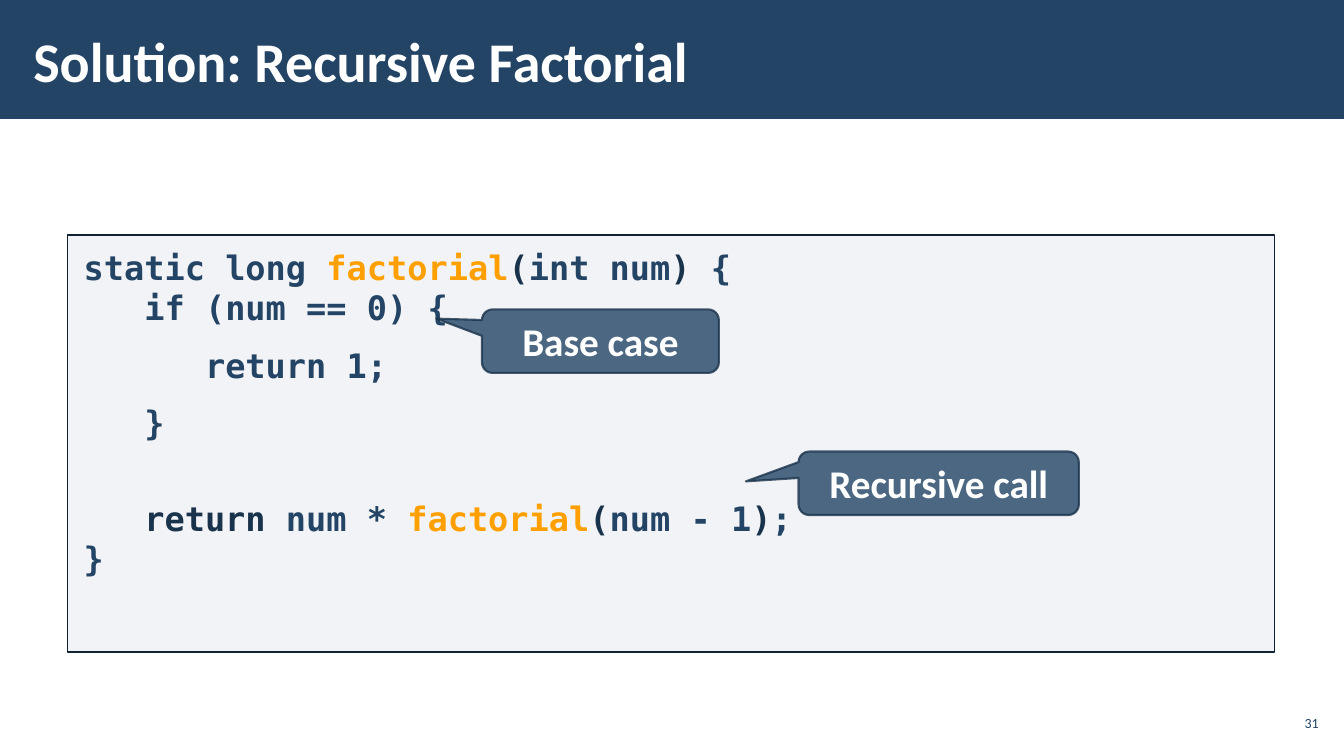
from dataclasses import dataclass

from lxml import etree
from pptx import Presentation
from pptx.dml.color import RGBColor
from pptx.enum.shapes import MSO_SHAPE
from pptx.enum.text import MSO_ANCHOR, MSO_AUTO_SIZE, PP_ALIGN
from pptx.oxml.ns import qn
from pptx.util import Pt

PX = 9144  # EMU in one px, 100 px to the inch
RECT = MSO_SHAPE.RECTANGLE
BUBBLE = MSO_SHAPE.ROUNDED_RECTANGULAR_CALLOUT
TOP, MIDDLE = MSO_ANCHOR.TOP, MSO_ANCHOR.MIDDLE
NO_FIT = MSO_AUTO_SIZE.NONE
LEFT, CENTER, RIGHT = PP_ALIGN.LEFT, PP_ALIGN.CENTER, PP_ALIGN.RIGHT

NAVY = RGBColor(0x23, 0x44, 0x65)
DARK = RGBColor(0x1A, 0x33, 0x4C)
EDGE = RGBColor(0x11, 0x22, 0x33)
GREY = RGBColor(0xAD, 0xB4, 0xC3)
AMBER = RGBColor(0xFF, 0xA0, 0x00)
WHITE = RGBColor(0xFF, 0xFF, 0xFF)
SANS, MONO = "Calibri", "DejaVu Sans Mono"


@dataclass
class Box:
    x: int
    y: int
    w: int
    h: int

    def emu(self) -> list[int]:
        return [n * PX for n in (self.x, self.y, self.w, self.h)]


@dataclass
class Callout:
    text: str
    box: Box
    tip: tuple[float, float]


@dataclass
class Block:
    before: int  # points
    runs: list[tuple[str, RGBColor]]


CODE = [
    Block(0, [("static long ", NAVY), ("factorial", AMBER), ("(", DARK),
              ("int num", NAVY), (")", DARK),
              (" {\n   if (num == 0) {", NAVY)]),
    Block(6, [("      return 1;", NAVY)]),
    Block(6, [("   }", NAVY)]),
    Block(34, [("   ", NAVY), ("return", DARK), (" num * ", NAVY),
               ("factorial", AMBER), ("(", DARK), ("num - 1", NAVY),
               (")", DARK), (";\n}", NAVY)]),
]
CALLS = [
    Callout("Base case", Box(478, 307, 235, 63), (-0.692, -0.355)),
    Callout("Recursive call", Box(792, 448, 278, 63), (-0.688, -0.03)),
]


def fade(fill, share: int) -> None:
    """Set the opacity of a solid fill, in percent."""
    color = fill._xPr.find(qn("a:solidFill"))[0]
    etree.SubElement(color, qn("a:alpha")).set("val", str(share * 1000))


def add_run(para, text: str, font: str, size: int, color: RGBColor,
            bold: bool = True) -> None:
    run = para.add_run()
    run.text = text
    run.font.name, run.font.size = font, Pt(size)
    run.font.bold, run.font.color.rgb = bold, color


def set_frame(shape, side: int, edge: int, anchor=MIDDLE):
    frame = shape.text_frame
    frame.word_wrap, frame.auto_size = True, NO_FIT
    frame.vertical_anchor = anchor
    frame.margin_left = frame.margin_right = side * PX
    frame.margin_top = frame.margin_bottom = edge * PX
    return frame


def add_box(slide, kind, box: Box, fill: RGBColor, share: int = 100):
    shape = slide.shapes.add_shape(kind, *box.emu())
    shape.shadow.inherit = False
    shape.fill.solid()
    shape.fill.fore_color.rgb = fill
    if share < 100:
        fade(shape.fill, share)
    shape.line.fill.background()
    return shape


def set_line(shape, color: RGBColor, width: float) -> None:
    shape.line.color.rgb = color
    shape.line.width = Pt(width)


def add_code(slide) -> None:
    panel = add_box(slide, RECT, Box(67, 233, 1197, 414), GREY, 15)
    set_line(panel, EDGE, 1)
    frame = set_frame(panel, 16, 12, TOP)
    for i, block in enumerate(CODE):
        para = frame.add_paragraph() if i else frame.paragraphs[0]
        para.alignment = LEFT
        para.space_before, para.space_after = Pt(block.before), Pt(6)
        for text, color in block.runs:
            for j, part in enumerate(text.split("\n")):
                if j:
                    para.add_line_break()
                add_run(para, part, MONO, 24, color)


def add_call(slide, call: Callout) -> None:
    shape = add_box(slide, BUBBLE, call.box, NAVY, 80)
    set_line(shape, DARK, 1.5)
    fade(shape.line.fill, 80)
    for i, value in enumerate((*call.tip, 0.167)):
        shape.adjustments[i] = value
    para = set_frame(shape, 10, 5).paragraphs[0]
    para.alignment = CENTER
    add_run(para, call.text, SANS, 28, WHITE)


def main() -> None:
    prs = Presentation()
    prs.slide_width, prs.slide_height = 1333 * PX, 750 * PX
    slide = prs.slides.add_slide(prs.slide_layouts[5])

    # Title on its band, with the band sent to the back
    band = add_box(slide, RECT, Box(0, 0, 1333, 118), NAVY)
    slide.shapes._spTree.insert(2, band._element)
    title = slide.shapes.title
    title.left, title.top, title.width, title.height = Box(
        21, 11, 1039, 97).emu()
    para = set_frame(title, 12, 4).paragraphs[0]
    para.alignment = LEFT
    add_run(para, "Solution: Recursive Factorial", SANS, 40, WHITE)

    # Code panel and its callouts
    add_code(slide)
    for call in CALLS:
        add_call(slide, call)

    # Slide number
    number = slide.shapes.add_textbox(*Box(1265, 700, 47, 34).emu())
    para = set_frame(number, 4, 4).paragraphs[0]
    para.alignment = RIGHT
    add_run(para, "31", SANS, 10, NAVY, False)

    prs.save("out.pptx")


if __name__ == "__main__":
    main()
